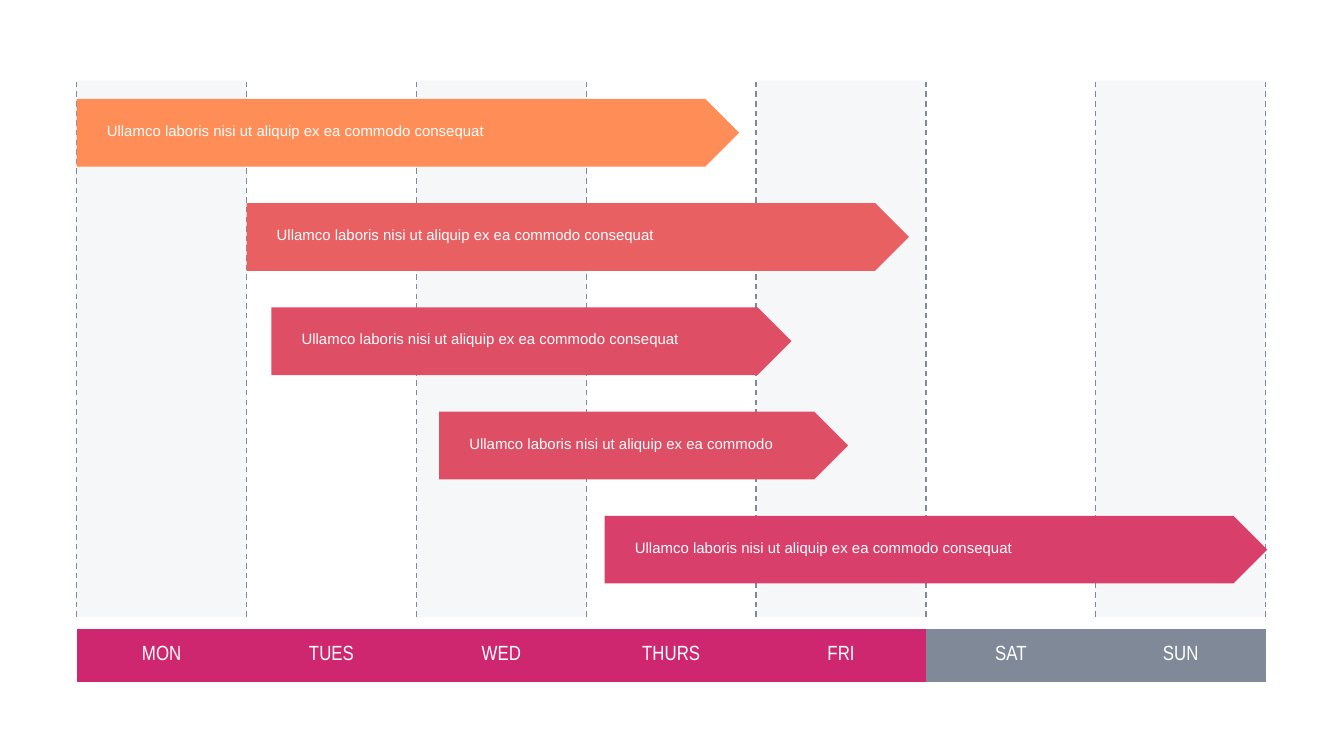
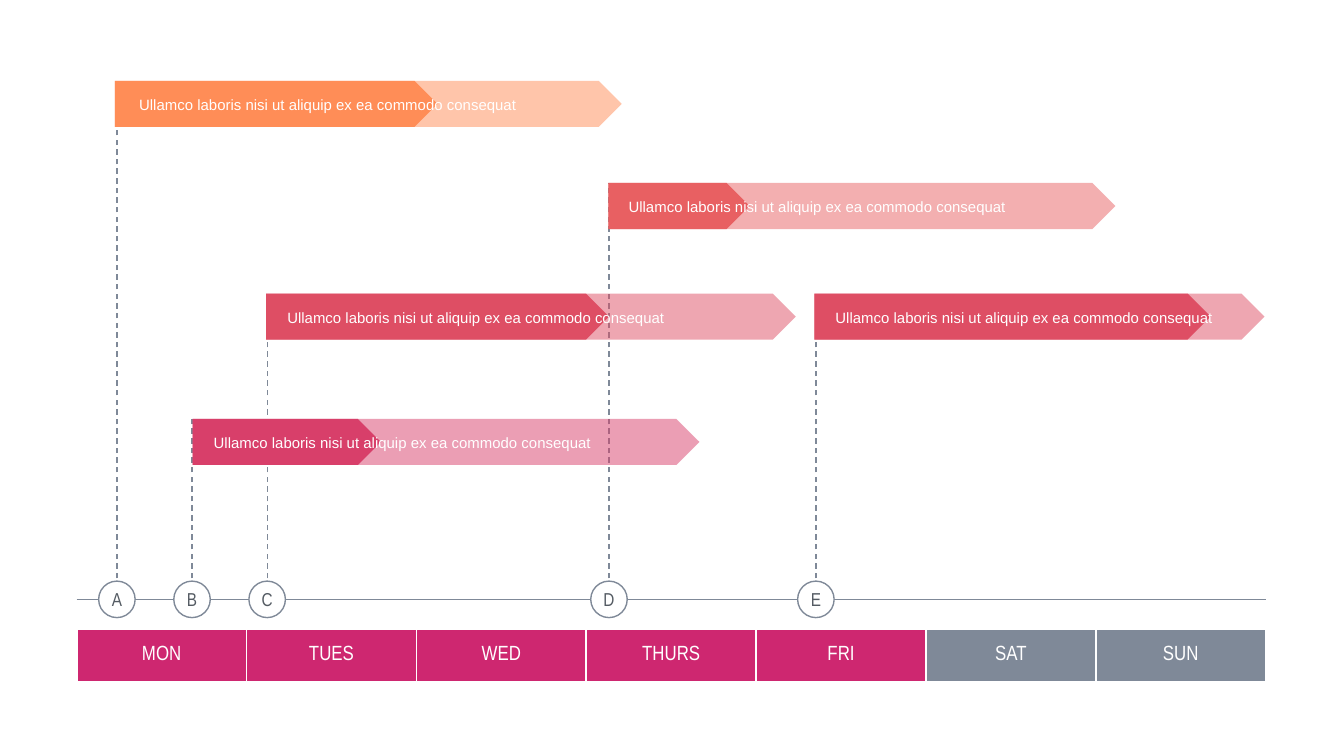
"""Builds two weekly timeline slides with task bars over a row of days."""
from lxml import etree
from pptx import Presentation
from pptx.dml.color import RGBColor
from pptx.enum.dml import MSO_LINE
from pptx.enum.shapes import MSO_CONNECTOR, MSO_SHAPE
from pptx.enum.text import MSO_ANCHOR, PP_ALIGN
from pptx.oxml.ns import qn
from pptx.util import Cm, Pt

WHITE = RGBColor(0xFF, 0xFF, 0xFF)
PALE = RGBColor(0xEE, 0xF0, 0xF4)
GREY = RGBColor(0x7F, 0x89, 0x98)
DARK = RGBColor(0x54, 0x5B, 0x63)
MAGENTA = RGBColor(0xCE, 0x27, 0x70)
ORANGE = RGBColor(0xFF, 0x8D, 0x57)
CORAL = RGBColor(0xE8, 0x60, 0x62)
RED = RGBColor(0xDE, 0x4E, 0x64)
PINK = RGBColor(0xD8, 0x3F, 0x6A)

RECT, PLATE, OVAL = MSO_SHAPE.RECTANGLE, MSO_SHAPE.PENTAGON, MSO_SHAPE.OVAL
STRAIGHT, DASH, SOLID = MSO_CONNECTOR.STRAIGHT, MSO_LINE.DASH, MSO_LINE.SOLID
LEFT, CENTER, MIDDLE = PP_ALIGN.LEFT, PP_ALIGN.CENTER, MSO_ANCHOR.MIDDLE

DAY_FONT = {"name": "Arial Narrow", "size": Pt(11)}
MARK_FONT = {"name": "Arial Narrow", "size": Pt(10)}
TASK_FONT = {"name": "Arial", "size": Pt(8)}
DAYS = ["MON", "TUES", "WED", "THURS", "FRI", "SAT", "SUN"]
TASK = "Ullamco laboris nisi ut aliquip ex ea commodo"
FULL = TASK + " consequat"
X0, DAY_W, TOP, BOTTOM = 1.45, 3.21, 1.52, 11.66
AXIS_Y, MARK_D = 11.33, 0.69


def add_shape(shapes, kind, x, y, w, h, color, alpha=100):
    sp = shapes.add_shape(kind, Cm(x), Cm(y), Cm(w), Cm(h))
    sp.shadow.inherit = False
    sp.fill.solid()
    sp.fill.fore_color.rgb = color
    sp.line.fill.background()
    if alpha < 100:
        clr = sp.element.spPr.find(qn("a:solidFill"))[0]
        etree.SubElement(clr, qn("a:alpha"), val=str(alpha * 1000))
    return sp


def set_text(box, text, font, color, align, inset=0.1):
    margins = {"margin_left": inset, "margin_right": inset,
               "margin_top": 0.05, "margin_bottom": 0.05}
    for key, value in margins.items():
        setattr(box, key, Cm(value))
    p = box.text_frame.paragraphs[0] if hasattr(box, "text_frame") else box.paragraphs[0]
    p.alignment = align
    r = p.add_run()
    r.text = text
    for key, value in font.items():
        setattr(r.font, key, value)
    r.font.color.rgb = color


marks = [("A", 2.21, TOP), ("B", 3.63, 7.92), ("C", 5.05, 5.56),
         ("D", 11.51, 3.45), ("E", 15.42, 5.56)]
week_bars = [(FULL, 1.45, 12.52, ORANGE), (FULL, 4.66, 12.52, CORAL),
             (FULL, 5.13, 9.83, RED), (TASK, 8.3, 7.73, RED),
             (FULL, 11.43, 12.52, PINK)]
progress_bars = [(2.17, 1.53, 9.58, 6.1, ORANGE, 0.36), (11.5, 3.46, 9.58, 2.67, CORAL, 0.28),
                 (5.03, 5.55, 10.01, 6.48, RED, 0.3), (15.39, 5.55, 8.51, 7.49, RED, 0.3),
                 (3.64, 7.92, 9.58, 3.56, PINK, 0.3)]

plans = [
    {
        "bands": [X0 + i * DAY_W for i in range(0, 7, 2)],
        "lines": [(X0 + i * DAY_W, BOTTOM, X0 + i * DAY_W, TOP, DASH) for i in range(8)],
        "border": None,
        "marks": [],
        "bars": [(text, x, 1.87 + i * 1.97, 1.28, [(w, 100)], color, 0.47, 0.38)
                 for i, (text, x, w, color) in enumerate(week_bars)],
    },
    {
        "bands": [],
        "lines": [(X0, AXIS_Y, X0 + 7 * DAY_W, AXIS_Y, SOLID)]
        + [(x, BOTTOM, x, y, DASH) for _, x, y in marks],
        "border": "FFFFFF",
        "marks": marks,
        "bars": [(FULL, x, y, 0.87, [(w, 50), (done, 100)], color, dx, 0.23)
                 for x, y, w, done, color, dx in progress_bars],
    },
]

prs = Presentation()
prs.slide_width, prs.slide_height = Cm(25.4), Cm(14.29)

for plan in plans:
    s = prs.slides.add_slide(prs.slide_layouts[6])

    for x in plan["bands"]:
        add_shape(s.shapes, RECT, x, TOP, DAY_W, BOTTOM - TOP, PALE, 50)

    for x1, y1, x2, y2, dash in plan["lines"]:
        c = s.shapes.add_connector(STRAIGHT, Cm(x1), Cm(y1), Cm(x2), Cm(y2))
        c.line.color.rgb = GREY
        for key, value in {"width": Pt(0.75), "dash_style": dash}.items():
            setattr(c.line, key, value)
        etree.SubElement(c.element.spPr, qn("a:effectLst"))

    table = s.shapes.add_table(1, 7, Cm(X0), Cm(11.89), Cm(7 * DAY_W), Cm(1)).table
    table.first_row = table.horz_banding = False
    for i, day in enumerate(DAYS):
        table.columns[i].width = Cm(DAY_W)
        cell = table.cell(0, i)
        set_text(cell, day, DAY_FONT, WHITE, CENTER)
        cell.vertical_anchor = MIDDLE
        tc_pr = cell._tc.get_or_add_tcPr()
        for side in ("a:lnL", "a:lnR", "a:lnT", "a:lnB"):
            ln = etree.SubElement(tc_pr, qn(side), w="12700")
            if plan["border"]:
                fill = etree.SubElement(ln, qn("a:solidFill"))
                etree.SubElement(fill, qn("a:srgbClr"), val=plan["border"])
            else:
                etree.SubElement(ln, qn("a:noFill"))
        cell.fill.solid()
        cell.fill.fore_color.rgb = MAGENTA if i < 5 else GREY

    for letter, x, _ in plan["marks"]:
        sp = add_shape(s.shapes, OVAL, x - MARK_D / 2, AXIS_Y - MARK_D / 2, MARK_D, MARK_D, WHITE)
        sp.line.color.rgb = GREY
        sp.line.width = Pt(0.75)
        tf = s.shapes.add_textbox(Cm(x - 0.33), Cm(11.07), Cm(0.66), Cm(0.5)).text_frame
        tf.word_wrap = True
        set_text(tf, letter, MARK_FONT, DARK, CENTER, 0.05)

    for text, x, y, h, parts, color, dx, dy in plan["bars"]:
        group = s.shapes.add_group_shape()
        for w, alpha in parts:
            add_shape(group.shapes, PLATE, x, y, w, h, color, alpha)
        tf = group.shapes.add_textbox(Cm(x + dx), Cm(y + dy), Cm(7.9), Cm(0.46)).text_frame
        tf.word_wrap = True
        set_text(tf, text, TASK_FONT, WHITE, LEFT)

prs.save("out.pptx")
